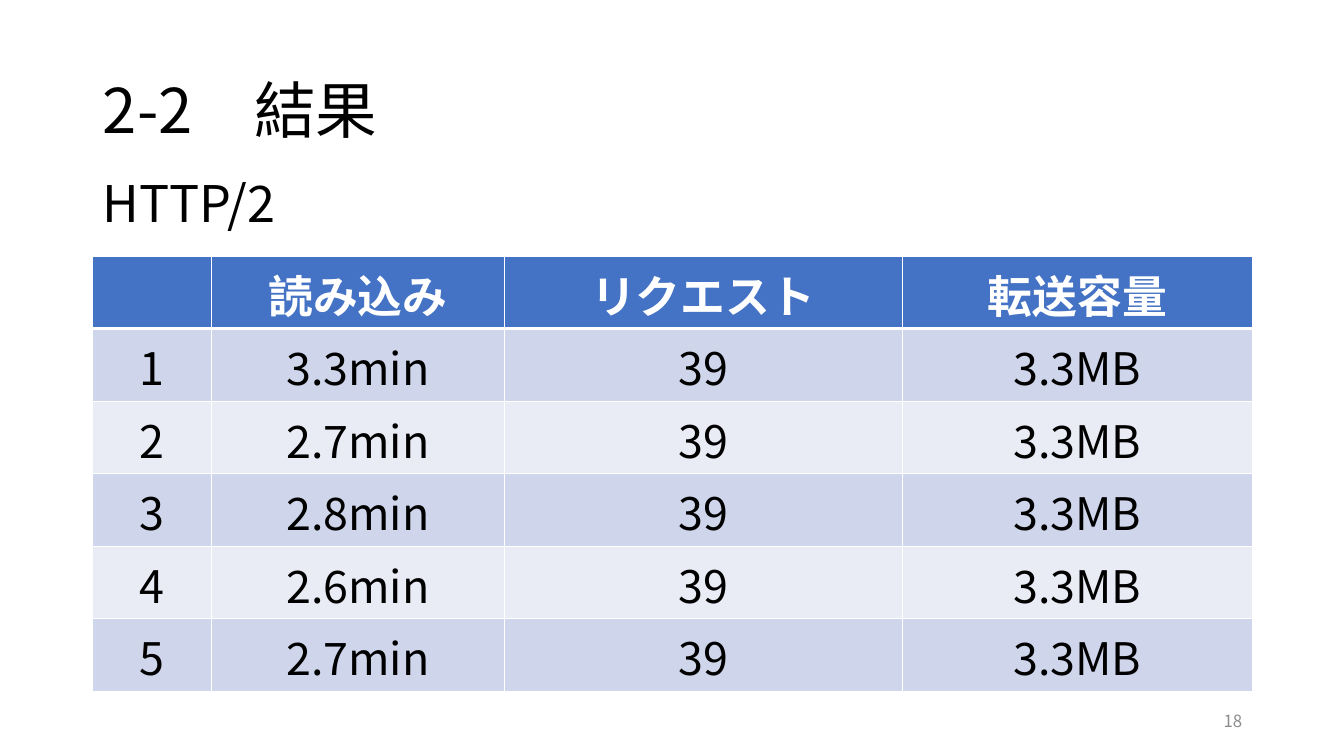
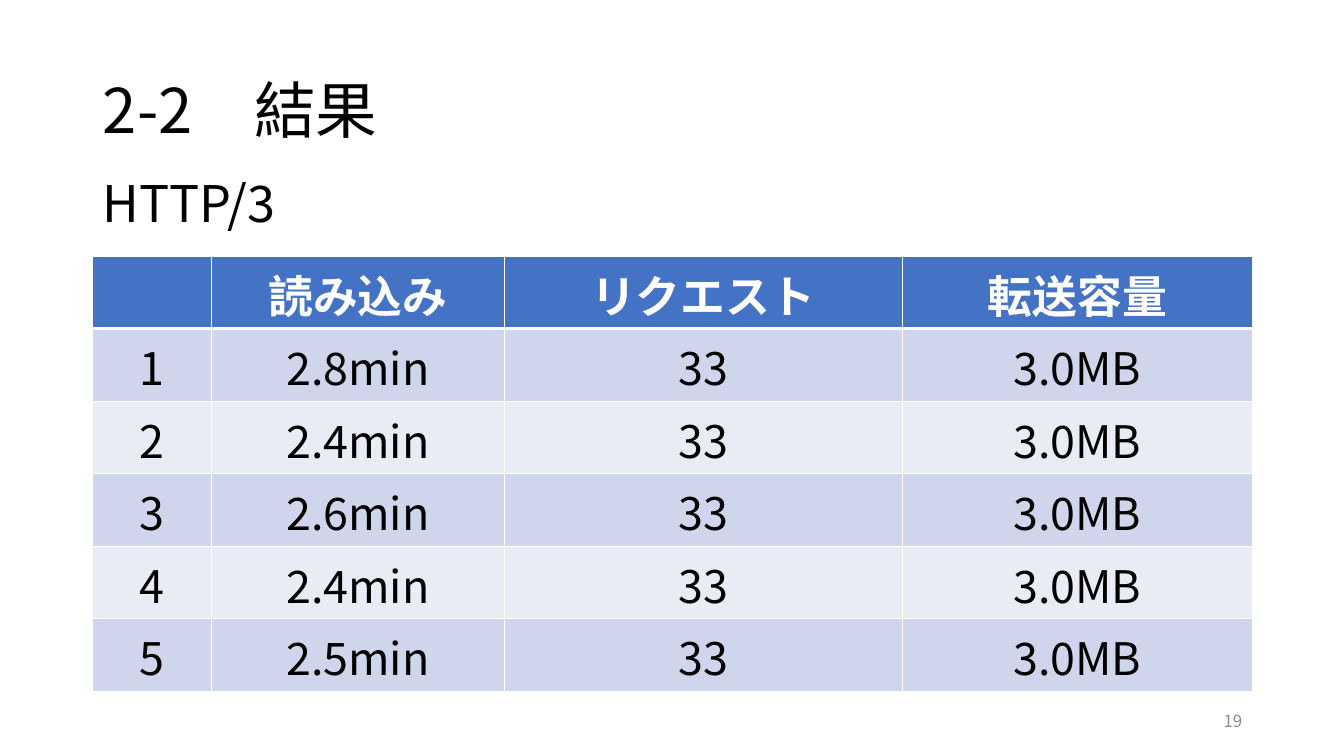
import pptx
import pptx.util
import pptx.dml.color
import pptx.enum.text
import pptx.oxml.ns
import lxml.etree

Inches, Pt = pptx.util.Inches, pptx.util.Pt
ALIGN = pptx.enum.text.PP_ALIGN
MIDDLE = pptx.enum.text.MSO_ANCHOR.MIDDLE

# Content
TITLE = "2-2　結果"
HEADINGS = ["", "読み込み", "リクエスト", "転送容量"]
RESULTS = [
    {"protocol": "HTTP/2", "page": 18, "requests": "39", "size": "3.3MB",
     "times": ["3.3min", "2.7min", "2.8min", "2.6min", "2.7min"]},
    {"protocol": "HTTP/3", "page": 19, "requests": "33", "size": "3.0MB",
     "times": ["2.8min", "2.4min", "2.6min", "2.4min", "2.5min"]},
]

# Shared style
FONT = "Noto Sans CJK JP"
COLORS = {"text": "000000", "page": "8C8C8C", "header": "4472C4",
          "odd": "CFD5EA", "even": "E9EBF5", "white": "FFFFFF"}
LEFT = 0.92
COLUMN_WIDTHS = [1.18, 2.9, 3.95, 3.47]
WIDTH = sum(COLUMN_WIDTHS)
ROW_HEIGHT = 0.72


def rgb(name):
    return pptx.dml.color.RGBColor.from_string(COLORS[name])


def write(frame, text, size, color="text", align=ALIGN.LEFT, bold=False):
    frame.text = text
    paragraph = frame.paragraphs[0]
    paragraph.alignment = align
    for run in paragraph.runs:
        font = run.font
        font.name, font.size, font.bold = FONT, Pt(size), bold
        font.color.rgb = rgb(color)
        # Japanese characters take the East Asian typeface
        latin = font._element.find(pptx.oxml.ns.qn("a:latin"))
        east_asian = lxml.etree.Element(pptx.oxml.ns.qn("a:ea"), typeface=FONT)
        latin.addnext(east_asian)


def place(shape, left, top, width, height):
    shape.left, shape.top = Inches(left), Inches(top)
    shape.width, shape.height = Inches(width), Inches(height)


def add_borders(cell, row):
    properties = cell._tc.get_or_add_tcPr()
    widths = {"L": 1, "R": 1, "T": 3 if row == 1 else 1, "B": 3 if row == 0 else 1}
    for side, width in widths.items():
        line = lxml.etree.SubElement(
            properties, pptx.oxml.ns.qn("a:ln" + side), w=str(Pt(width)))
        fill = lxml.etree.SubElement(line, pptx.oxml.ns.qn("a:solidFill"))
        lxml.etree.SubElement(
            fill, pptx.oxml.ns.qn("a:srgbClr"), val=COLORS["white"])


def add_results_table(slide, rows):
    table = slide.shapes.add_table(
        len(rows), len(HEADINGS), Inches(LEFT), Inches(2.54),
        Inches(WIDTH), Inches(ROW_HEIGHT * len(rows))).table
    for column, width in zip(table.columns, COLUMN_WIDTHS):
        column.width = Inches(width)
    for r, values in enumerate(rows):
        table.rows[r].height = Inches(ROW_HEIGHT)
        is_header = r == 0
        band = "header" if is_header else "odd" if r % 2 else "even"
        for c, value in enumerate(values):
            cell = table.cell(r, c)
            add_borders(cell, r)
            cell.fill.solid()
            cell.fill.fore_color.rgb = rgb(band)
            cell.vertical_anchor = MIDDLE
            write(cell.text_frame, value, 32, "white" if is_header else "text",
                  ALIGN.CENTER, is_header)


def add_text(slide, box, text, size, **style):
    frame = slide.shapes.add_textbox(*map(Inches, box)).text_frame
    frame.word_wrap = True
    write(frame, text, size, **style)
    return frame


def build_slide(prs, result):
    slide = prs.slides.add_slide(prs.slide_layouts[5])

    # Title
    title = slide.shapes.title
    place(title, LEFT, 0.4, WIDTH, 1.45)
    write(title.text_frame, TITLE, 44)
    title.text_frame.vertical_anchor = MIDDLE
    title.text_frame.paragraphs[0].line_spacing = 0.9

    # Page number
    page = add_text(slide, (LEFT + WIDTH - 3, 6.95, 3, 0.4), str(result["page"]),
                    12, color="page", align=ALIGN.RIGHT)
    page.vertical_anchor = MIDDLE

    # Measurements
    runs = [[str(n), time, result["requests"], result["size"]]
            for n, time in enumerate(result["times"], 1)]
    add_results_table(slide, [HEADINGS] + runs)

    # Protocol
    add_text(slide, (LEFT, 1.66, 4.8, 0.71), result["protocol"], 36)


def main():
    prs = pptx.Presentation()
    prs.slide_width, prs.slide_height = Inches(13.33), Inches(7.5)
    for result in RESULTS:
        build_slide(prs, result)
    prs.save("out.pptx")


if __name__ == "__main__":
    main()
